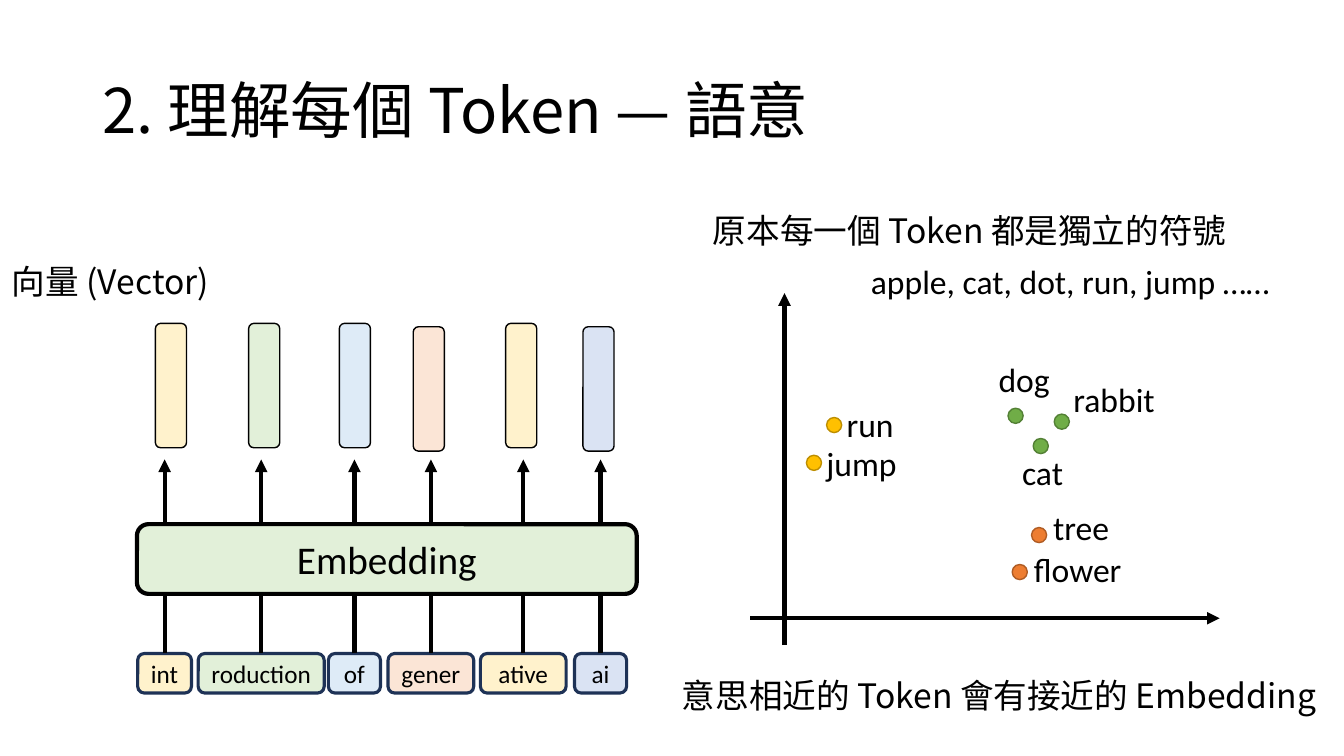
from lxml import etree
from pptx import Presentation
from pptx.dml.color import RGBColor
from pptx.enum.shapes import MSO_CONNECTOR, MSO_SHAPE
from pptx.enum.text import MSO_ANCHOR, MSO_AUTO_SIZE, PP_ALIGN
from pptx.oxml.ns import qn
from pptx.util import Inches, Pt

ROUNDED, OVAL = MSO_SHAPE.ROUNDED_RECTANGLE, MSO_SHAPE.OVAL
STRAIGHT = MSO_CONNECTOR.STRAIGHT
LEFT, CENTER = PP_ALIGN.LEFT, PP_ALIGN.CENTER
TOP, MIDDLE = MSO_ANCHOR.TOP, MSO_ANCHOR.MIDDLE
GROW, FIXED = MSO_AUTO_SIZE.SHAPE_TO_FIT_TEXT, MSO_AUTO_SIZE.NONE
TOP_SIDE = 0

WIDTH, HEIGHT = Inches(13.33), Inches(7.5)
COLUMNS, ROWS = 160, 90
LATIN, CHINESE = "Calibri", "Noto Sans CJK SC"

COLORS = {
    "black": "000000", "navy": "1E3256",
    "cream": "FFF2CC", "mint": "E2F0D9", "sky": "DEEBF7",
    "peach": "FBE5D6", "lavender": "DAE3F3",
    "green": "70AD47", "dark green": "538035",
    "gold": "FFC000", "dark gold": "BD8E00",
    "orange": "ED7D31", "dark orange": "AF5C24",
}

TOKENS = [
    ("int", "cream", 16.4, 6.4, 18.5, 38.5),
    ("roduction", "mint", 23.6, 15, 29.6, 38.5),
    ("of", "sky", 39.1, 6.2, 40.4, 38.5),
    ("gener", "peach", 46.2, 10.2, 49.2, 38.9),
    ("ative", "cream", 57.2, 10.2, 60.2, 38.5),
    ("ai", "lavender", 68.4, 6.2, 69.4, 38.9),
]

WORDS = [
    ("dog", "green", 120, 48.6, 117.7, 42.1),
    ("cat", "green", 123, 52.2, 120.5, 53.2),
    ("rabbit", "green", 125.5, 49.3, 126.6, 44.5),
    ("jump", "gold", 96, 54.2, 97.2, 52.1),
    ("run", "gold", 98.4, 49.7, 99.6, 47.5),
    ("flower", "orange", 120.5, 67.2, 121.9, 64.8),
    ("tree", "orange", 122.8, 62.8, 124.2, 59.8),
]


class EmbeddingSlide:
    """Draws styled elements on one slide, placed by grid columns and rows."""

    def __init__(self, slide):
        self.slide = slide

    def place(self, column, row):
        return round(column * WIDTH / COLUMNS), round(row * HEIGHT / ROWS)

    def color(self, name):
        return RGBColor.from_string(COLORS[name])

    def add_text_run(self, paragraph, text, size, font):
        run = paragraph.add_run()
        run.text = text
        run.font.size = Pt(size)
        run.font.name = font
        run.font.color.rgb = self.color("black")
        east_asian = etree.SubElement(run.font._element, qn("a:ea"))
        east_asian.set("typeface", font)

    def text(self, box, text, size=24, font=LATIN, align=LEFT):
        column, row, width, height = box
        shape = self.slide.shapes.add_textbox(
            *self.place(column, row), *self.place(width, height))
        frame = shape.text_frame
        frame.word_wrap = True
        frame.auto_size = GROW
        frame.vertical_anchor = TOP
        paragraph = frame.paragraphs[0]
        paragraph.alignment = align
        self.add_text_run(paragraph, text, size, font)
        return shape

    def title(self, box, text):
        frame = self.text(box, text, 44, CHINESE).text_frame
        frame.auto_size = FIXED
        frame.vertical_anchor = MIDDLE
        frame.paragraphs[0].line_spacing = 0.9

    def shape(self, kind, box, fill, line, weight, text="", size=18):
        column, row, width, height = box
        shape = self.slide.shapes.add_shape(
            kind, *self.place(column, row), *self.place(width, height))
        shape.shadow.inherit = False
        shape.fill.solid()
        shape.fill.fore_color.rgb = self.color(fill)
        shape.line.color.rgb = self.color(line)
        shape.line.width = Pt(weight)
        if text:
            frame = shape.text_frame
            frame.margin_left = frame.margin_right = 0
            frame.vertical_anchor = MIDDLE
            paragraph = frame.paragraphs[0]
            paragraph.alignment = CENTER
            self.add_text_run(paragraph, text, size, LATIN)
        return shape

    def arrow(self, start, end, source=None):
        connector = self.slide.shapes.add_connector(
            STRAIGHT, *self.place(*start), *self.place(*end))
        if source is not None:
            connector.begin_connect(source, TOP_SIDE)
        connector.line.color.rgb = self.color("black")
        connector.line.width = Pt(3)
        properties = connector._element.spPr
        head = etree.SubElement(properties.find(qn("a:ln")), qn("a:tailEnd"))
        head.set("type", "triangle")
        etree.SubElement(properties, qn("a:effectLst"))


def draw_embedding(page):
    for text, fill, column, width, vector_column, vector_row in TOKENS:
        token = page.shape(ROUNDED, (column, 77.8, width, 4.7), fill, "navy", 2.25, text)
        page.shape(ROUNDED, (vector_column, vector_row, 3.7, 14.8), fill, "black", 1)
        center = column + width / 2
        page.arrow((center, 77.8), (center, 54.7), token)
    page.shape(ROUNDED, (16.3, 62.4, 59.5, 8.3), "mint", "black", 3, "Embedding", 28)
    page.text((-1.3, 30.5, 28.9, 6), "向量 (Vector)", font=CHINESE, align=CENTER)


def draw_word_map(page):
    page.arrow((89.3, 73.6), (145.2, 73.6))
    page.arrow((93.4, 76.8), (93.4, 34.9))
    for word, family, column, row, label_column, label_row in WORDS:
        page.shape(OVAL, (column, row, 1.8, 1.8), family, "dark " + family, 1)
        page.text((label_column, label_row, 14, 6), word)
    page.text((83.7, 24.4, 67.2, 6), "原本每一個 Token 都是獨立的符號", font=CHINESE)
    page.text((102.5, 30.5, 53.3, 6), "apple, cat, dot, run, jump ……")
    page.text((80, 79.8, 99.6, 6), "意思相近的 Token 會有接近的 Embedding", font=CHINESE)


def main():
    presentation = Presentation()
    presentation.slide_width, presentation.slide_height = WIDTH, HEIGHT
    page = EmbeddingSlide(presentation.slides.add_slide(presentation.slide_layouts[6]))
    page.title((11, 4.8, 138, 17.4), "2. 理解每個 Token — 語意")
    draw_embedding(page)
    draw_word_map(page)
    presentation.save("out.pptx")


if __name__ == "__main__":
    main()
